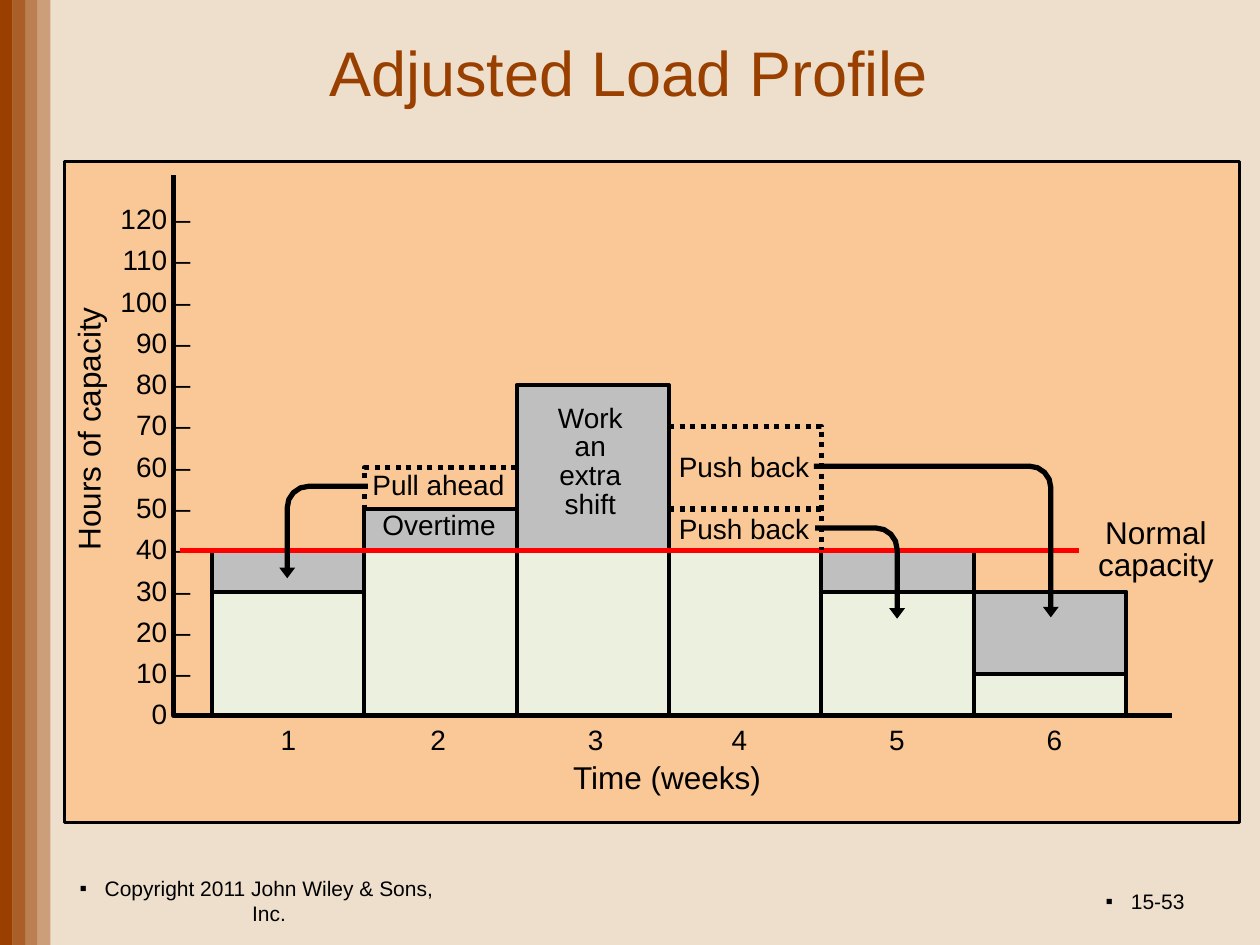
import math
from lxml import etree
from pptx import Presentation
from pptx.dml.color import RGBColor
from pptx.enum import dml, shapes, text
from pptx.oxml import ns
from pptx.util import Inches, Pt

THEME = {
    "page": "EEDFCC", "brand": "994000", "panel": "FAC896", "ink": "000000",
    "load": "EBF1DE", "shifted": "BFBFBF", "capacity": "FF0000",
    "title": 36, "axis": 18, "label": 16, "footer": 12,
}
CENTER, RIGHT, LEFT = text.PP_ALIGN.CENTER, text.PP_ALIGN.RIGHT, text.PP_ALIGN.LEFT
RECTANGLE = shapes.MSO_SHAPE.RECTANGLE

# Weekly hours: (bottom, top) of each bar
LOADS = [(0, 30), (0, 40), (0, 40), (0, 40), (0, 30), (0, 10)]
SHIFTED = {0: (30, 40), 1: (40, 50), 2: (40, 80), 4: (30, 40), 5: (10, 30)}
BASE, HOUR = 5.68, 0.0328          # zero line and inches per hour
FIRST, WEEK = 1.68, 1.21           # left edge of week 1 and bar width
WEEK_TABS = [1.25, 2.5, 3.64, 4.89, 6.14]

# Text, box, size, format
AXIS_LABELS = [
    ("Hours of capacity", (-0.54, 3.23, 2.52, 0.35), "axis", {"rotation": 270}),
    ("Time (weeks)", (4.41, 6.01, 1.77, 0.35), "axis", {"wrap": False}),
    ("Normal\ncapacity", (8.61, 4.07, 1.13, 0.61), "axis", {"wrap": False}),
    ("\n".join(f"{hours} –" for hours in range(120, -1, -10)),
     (0.85, 1.49, 0.76, 4.37), "label",
     {"wrap": False, "align": RIGHT, "spacing": 1.23}),
]
NOTES = [
    ("Pull ahead", (2.85, 3.7, 1.26, 0.33), "label", {"wrap": False}),
    ("Push back", (5.28, 3.56, 1.25, 0.33), "label", {"wrap": False}),
    ("Push back", (5.28, 4.05, 1.25, 0.33), "label", {"wrap": False}),
    ("Overtime", (2.93, 4.02, 1.11, 0.33), "label", {"wrap": False}),
    ("Work an extra shift", (4.2, 3.17, 0.97, 1.01), "label", {}),
]
FOOTERS = [
    ("Copyright 2011 John Wiley & Sons, Inc.", (0.5, 6.95, 3.17, 0.4), CENTER),
    ("15-53", (7.17, 6.95, 2.33, 0.4), RIGHT),
]
# Arrow start, then the point it drops to
ARROWS = [((6.46, 3.7), (8.34, 4.9)), ((6.47, 4.19), (7.12, 4.91)),
          ((2.92, 3.86), (2.28, 4.59))]


def color(name):
    return RGBColor.from_string(THEME[name])


def add_xml(parent, tag, **attributes):
    return etree.SubElement(parent, ns.qn(tag), attributes)


def height_of(hours):
    return BASE - hours * HOUR


def week_left(week):
    return FIRST + week * WEEK


def style_line(line, width, name="ink", dotted=False):
    line.color.rgb = color(name)
    line.width = Pt(width)
    if dotted:
        line.dash_style = dml.MSO_LINE.ROUND_DOT


def style_paragraph(para, wording, size, name="ink", align=CENTER, spacing=0.85):
    para.alignment = align
    para.line_spacing = spacing
    span = para.add_run()
    span.text = wording
    for key, value in {"size": Pt(THEME[size]), "name": "Arial"}.items():
        setattr(span.font, key, value)
    span.font.color.rgb = color(name)


def add_label(page, wording, box, size, wrap=True, rotation=0, **paragraph_format):
    label = page.shapes.add_textbox(*map(Inches, box))
    label.rotation = rotation
    frame = label.text_frame
    frame.word_wrap = wrap
    for index, line in enumerate(wording.split("\n")):
        para = frame.add_paragraph() if index else frame.paragraphs[0]
        style_paragraph(para, line, size, **paragraph_format)
    return label


def add_rectangle(page, box, fill, width=None):
    shape = page.shapes.add_shape(RECTANGLE, *map(Inches, box))
    shape.shadow.inherit = False
    shape.fill.solid()
    shape.fill.fore_color.rgb = color(fill)
    if width:
        style_line(shape.line, width)
    else:
        shape.line.fill.background()
    return shape


def add_bar(page, week, hours, fill):
    bottom, top = hours
    box = (week_left(week), height_of(top), WEEK, (top - bottom) * HOUR)
    add_rectangle(page, box, fill, 2.25)


def add_path(page, points, dotted=False):
    start, *rest = [(Inches(x), Inches(y)) for x, y in points]
    builder = page.shapes.build_freeform(*start)
    builder.add_line_segments(rest, close=False)
    shape = builder.convert_to_shape()
    shape.shadow.inherit = False
    shape.fill.background()
    style_line(shape.line, 3, dotted=dotted)
    return shape


def add_straight(page, start, end, name="ink", dotted=False):
    line = page.shapes.add_connector(
        shapes.MSO_CONNECTOR.STRAIGHT, *map(Inches, start + end))
    style_line(line.line, 3, name, dotted)
    add_xml(line._element.spPr, "a:effectLst")


def add_bent_arrow(page, start, end, radius=0.17):
    """Run sideways from start, round the corner and drop to end."""
    side = math.copysign(radius, end[0] - start[0])
    turn = [math.radians(angle) for angle in (0, 22.5, 45, 67.5, 90)]
    corner = [(end[0] - side + side * math.sin(angle),
               start[1] + radius - radius * math.cos(angle)) for angle in turn]
    arrow = add_path(page, [start, *corner, end])
    add_xml(arrow.line._get_or_add_ln(), "a:tailEnd", type="triangle", len="sm")


def add_footer(page, wording, box, align):
    label = add_label(page, wording, box, "footer", align=align, spacing=1.0)
    frame = label.text_frame
    frame.margin_left = 0
    frame.vertical_anchor = text.MSO_ANCHOR.MIDDLE
    properties = frame.paragraphs[0]._p.get_or_add_pPr()
    properties.set("marL", str(Inches(0.2)))
    properties.set("indent", str(-Inches(0.2)))
    add_xml(properties, "a:buFont", typeface="Arial")
    add_xml(properties, "a:buChar", char="▪")


def main():
    deck = Presentation()
    deck.slide_width, deck.slide_height = Inches(10), Inches(7.5)
    page = deck.slides.add_slide(deck.slide_layouts[5])
    page.background.fill.solid()
    page.background.fill.fore_color.rgb = color("page")

    for index, opacity in enumerate((100, 80, 60, 40)):
        stripe = add_rectangle(page, (index * 0.1, 0, 0.1, 7.5), "brand")
        tint = stripe._element.spPr.find(".//" + ns.qn("a:srgbClr"))
        add_xml(tint, "a:alpha", val=str(opacity * 1000))

    title = page.shapes.title
    title.left, title.top, title.width, title.height = map(
        Inches, (1.24, 0.03, 7.5, 1.17))
    title.text_frame.vertical_anchor = text.MSO_ANCHOR.MIDDLE
    style_paragraph(title.text_frame.paragraphs[0], "Adjusted Load Profile",
                    "title", "brand")
    for footer in FOOTERS:
        add_footer(page, *footer)

    add_rectangle(page, (0.51, 1.28, 9.33, 5.25), "panel", 1.5)
    pulled = height_of(60)
    add_path(page, [(week_left(2), pulled), (week_left(1), pulled),
                    (week_left(1), height_of(50))], dotted=True)
    for week, hours in enumerate(LOADS):
        add_bar(page, week, hours, "load")
    add_path(page, [(1.38, 1.39), (1.38, BASE), (9.3, BASE)])

    for wording, box, size, options in AXIS_LABELS:
        add_label(page, wording, box, size, **options)
    weeks = add_label(page, "\t".join("123456"), (2.13, 5.73, 6.93, 0.32),
                      "label", align=LEFT)
    tabs = add_xml(weeks.text_frame.paragraphs[0]._p.get_or_add_pPr(), "a:tabLst")
    for position in WEEK_TABS:
        add_xml(tabs, "a:tab", pos=str(Inches(position)), algn="ctr")

    for week, hours in SHIFTED.items():
        add_bar(page, week, hours, "shifted")
    normal = height_of(40)
    add_straight(page, (1.43, normal), (8.56, normal), "capacity")
    left, right = week_left(3), week_left(4)
    add_path(page, [(left, height_of(70)), (right, height_of(70)),
                    (right, normal)], dotted=True)
    add_straight(page, (left, height_of(50)), (right, height_of(50)), dotted=True)

    for wording, box, size, options in NOTES:
        add_label(page, wording, box, size, **options)
    for start, end in ARROWS:
        add_bent_arrow(page, start, end)
    deck.save("out.pptx")


if __name__ == "__main__":
    main()
